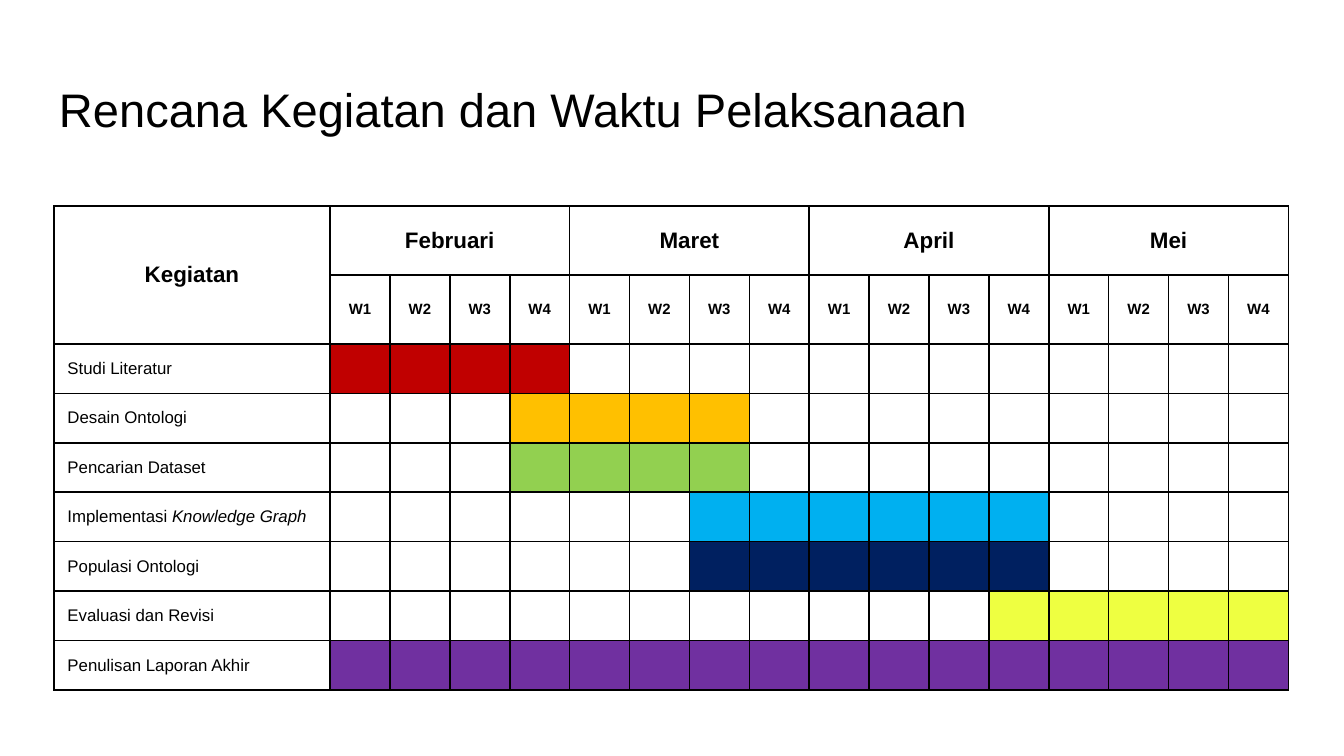
from lxml import etree
from pptx import Presentation, util as u
from pptx.dml.color import RGBColor
from pptx.enum import text
from pptx.oxml import ns

BLACK = "000000"
MONTHS = ["Februari", "Maret", "April", "Mei"]
WEEKS = 4
# activity, italic ending, first week, last week, colour
TASKS = [
    ("Studi Literatur", "", 1, 4, "C00000"),
    ("Desain Ontologi", "", 4, 7, "FFC000"),
    ("Pencarian Dataset", "", 4, 7, "92D050"),
    ("Implementasi ", "Knowledge Graph", 7, 12, "00B0F0"),
    ("Populasi Ontologi", "", 7, 12, "002060"),
    ("Evaluasi dan Revisi", "", 12, 16, "EEFF41"),
    ("Penulisan Laporan Akhir", "", 1, 16, "7030A0"),
]


def px(n):
    return u.Emu(round(n * 914400 / 134.4))


def style(para, size, bold=False, align=text.PP_ALIGN.LEFT):
    para.alignment = align
    for run in para.runs:
        run.font.name = "Arial"
        run.font.size = u.Pt(size)
        run.font.bold = bold
        run.font.color.rgb = RGBColor.from_string(BLACK)


prs = Presentation()
prs.slide_width, prs.slide_height = px(1344), px(756)
slide = prs.slides.add_slide(prs.slide_layouts[5])

title = slide.shapes.title
title.left, title.top, title.width, title.height = px(46), px(66), px(1252), px(85)
frame = title.text_frame
frame.text = "Rencana Kegiatan dan Waktu Pelaksanaan"
frame.vertical_anchor = text.MSO_ANCHOR.MIDDLE
frame.margin_left = frame.margin_right = px(13)
frame.margin_top = frame.margin_bottom = px(13)
style(frame.paragraphs[0], 25.2)

# Table grid: two header rows, one row per task, one column per week
count = len(MONTHS) * WEEKS
shape = slide.shapes.add_table(
    2 + len(TASKS), 1 + count, px(54), px(206), px(1235), px(484))
table = shape.table
table.first_row = table.horz_banding = False
for i, col in enumerate(table.columns):
    col.width = px(276) if i == 0 else px(959) // count
for i, row in enumerate(table.rows):
    row.height = px(69) if i < 2 else px(346) // len(TASKS)

# Plain cells with black borders
for cell in table.iter_cells():
    cell.fill.background()
    cell.vertical_anchor = text.MSO_ANCHOR.MIDDLE
    cell.margin_top = cell.margin_bottom = 0
    props = cell._tc.get_or_add_tcPr()
    for i, side in enumerate(["lnL", "lnR", "lnT", "lnB"]):
        line = etree.Element(ns.qn("a:" + side), w=str(u.Pt(1)))
        fill = etree.SubElement(line, ns.qn("a:solidFill"))
        etree.SubElement(fill, ns.qn("a:srgbClr"), val=BLACK)
        props.insert(i, line)

# Header
heads = [(table.cell(0, 0), "Kegiatan", 12)]
table.cell(0, 0).merge(table.cell(1, 0))
for i, month in enumerate(MONTHS):
    first = 1 + i * WEEKS
    table.cell(0, first).merge(table.cell(0, first + WEEKS - 1))
    heads.append((table.cell(0, first), month, 12))
    for week in range(WEEKS):
        heads.append((table.cell(1, first + week), f"W{week + 1}", 8))
for cell, label, size in heads:
    cell.text_frame.text = label
    style(cell.text_frame.paragraphs[0], size, True, text.PP_ALIGN.CENTER)

# Tasks and their bars
for row, (name, term, start, end, color) in enumerate(TASKS, 2):
    para = table.cell(row, 0).text_frame.paragraphs[0]
    para.text = name
    if term:
        run = para.add_run()
        run.text = term
        run.font.italic = True
    style(para, 9)
    for week in range(start, end + 1):
        fill = table.cell(row, week).fill
        fill.solid()
        fill.fore_color.rgb = RGBColor.from_string(color)

prs.save("out.pptx")
